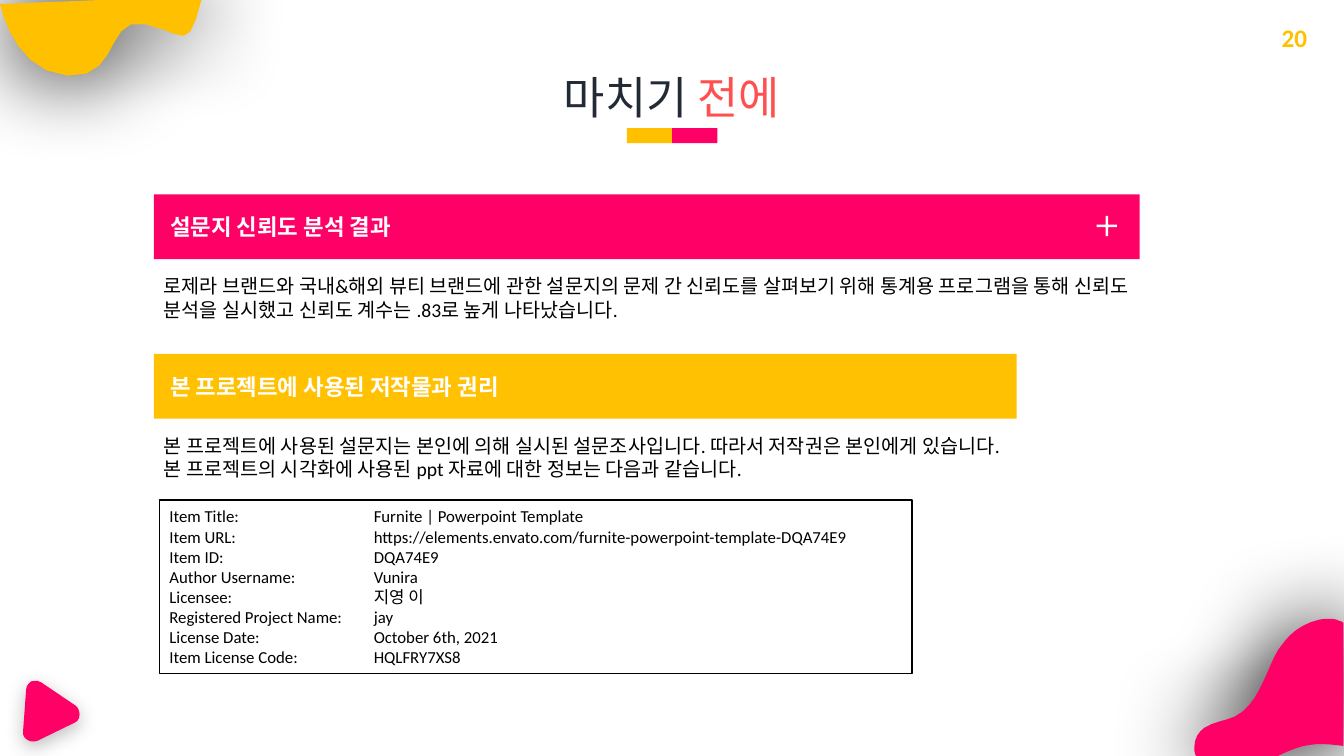
import math

import pptx
import pptx.util
import pptx.dml.color
import pptx.enum.shapes
import pptx.enum.text
import pptx.oxml.ns
from lxml import etree
from pptx.util import Cm

COLORS = {"pink": "FF0066", "amber": "FFC102", "gold": "FFC000", "coral": "FF5050",
          "navy": "222A35", "black": "000000", "white": "FFFFFF"}
FONT = "Calibri"
SHAPES = pptx.enum.shapes.MSO_SHAPE
ALIGN = pptx.enum.text.PP_ALIGN
ANCHOR = pptx.enum.text.MSO_ANCHOR
qn = pptx.oxml.ns.qn

LEFT, SECTION_TOP, SECTION_STEP = 3.88, 4.9, 4.02
SECTIONS = [
    ("설문지 신뢰도 분석 결과", "pink", 24.84,
     "로제라 브랜드와 국내&해외 뷰티 브랜드에 관한 설문지의 문제 간 신뢰도를 살펴보기 위해 "
     "통계용 프로그램을 통해 신뢰도 분석을 실시했고 신뢰도 계수는 .83로 높게 나타났습니다."),
    ("본 프로젝트에 사용된 저작물과 권리", "amber", 21.74,
     "본 프로젝트에 사용된 설문지는 본인에 의해 실시된 설문조사입니다. 따라서 저작권은 "
     "본인에게 있습니다. 본 프로젝트의 시각화에 사용된 ppt 자료에 대한 정보는 다음과 같습니다."),
]
LICENSE = [
    ("Item Title:", "Furnite | Powerpoint Template"),
    ("Item URL:", "https://elements.envato.com/furnite-powerpoint-template-DQA74E9"),
    ("Item ID:", "DQA74E9"),
    ("Author Username:", "Vunira"),
    ("Licensee:", "지영 이"),
    ("Registered Project Name:", "jay"),
    ("License Date:", "October 6th, 2021"),
    ("Item License Code:", "HQLFRY7XS8"),
]

# Outlines in hundredths of an inch: a start point, then curves (two handles and an end) or lines
TOP_BLOB = [(0, 4), (0, 4, 13, 71, 67, 75), (120, 79, 104, 15, 144, 24),
            (185, 33, 186, 55, 201, -4)]
CORNER_BLOB = [(1319, 614), (1322, 614, 1325, 614, 1329, 616), (1330, 616, 1332, 617, 1333, 618),
               (1333, 740), (1322, 739, 1311, 737, 1300, 739), (1290, 740, 1281, 744, 1272, 748),
               (1268, 750), (1187, 750), (1186, 749), (1185, 747, 1185, 744, 1185, 741),
               (1185, 733, 1189, 726, 1195, 722), (1204, 716, 1216, 715, 1225, 711),
               (1239, 704, 1247, 690, 1253, 677), (1260, 663, 1264, 648, 1274, 637),
               (1282, 626, 1295, 618, 1308, 615), (1312, 614, 1315, 614, 1319, 614)]
TRIANGLE = [(75, 700), (41, 677), (38, 675, 34, 675, 31, 676), (28, 678, 26, 681, 26, 684),
            (23, 725), (22, 729, 24, 732, 27, 734), (30, 736, 34, 736, 37, 735),
            (74, 717), (77, 716, 79, 713, 79, 709), (79, 706, 78, 702, 75, 700)]


def rgb(name):
    return pptx.dml.color.RGBColor.from_string(COLORS[name])


def add_run(p, text, size, color, bold=False):
    r = p.add_run()
    r.text = text
    r.font.name = FONT
    r.font.size = pptx.util.Pt(size)
    r.font.bold = bold
    r.font.color.rgb = rgb(color)


def paint(sp, color):
    sp.shadow.inherit = False
    sp.fill.solid()
    sp.fill.fore_color.rgb = rgb(color)
    sp.line.fill.background()


def add_block(s, kind, box, color):
    sp = s.shapes.add_shape(kind, *[Cm(v) for v in box])
    paint(sp, color)
    return sp


def add_text(s, box, text, size, color, align=ALIGN.LEFT, bold=False):
    tf = s.shapes.add_textbox(*[Cm(v) for v in box]).text_frame
    tf.word_wrap = True
    p = tf.paragraphs[0]
    p.alignment = align
    add_run(p, text, size, color, bold)


def add_banner(s, box, color, text):
    tf = add_block(s, SHAPES.RECTANGLE, box, color).text_frame
    tf.margin_left = Cm(0.41)
    tf.vertical_anchor = ANCHOR.MIDDLE
    p = tf.paragraphs[0]
    p.alignment = ALIGN.LEFT
    add_run(p, text, 16, "white", True)


def trace(outline):
    """Return the outline's points in EMU; longer curves get more points."""
    points = [outline[0]]
    for seg in outline[1:]:
        start, end = points[-1], seg[-2:]
        if len(seg) == 2:
            points.append(end)
            continue
        steps = math.ceil(0.7 * math.sqrt(math.dist(start, end)))
        for i in range(1, steps + 1):
            t = i / steps
            u = 1 - t
            points.append(tuple(u**3 * a + 3 * u * u * t * b + 3 * u * t * t * c + t**3 * d
                                for a, b, c, d in zip(start, seg[:2], seg[2:4], end)))
    return [(Cm(x * 0.0254), Cm(y * 0.0254)) for x, y in points]


def add_blob(s, outline, color, alpha, blur, dist=0, angle=0):
    points = trace(outline)
    builder = s.shapes.build_freeform(*points[0])
    builder.add_line_segments(points[1:], close=True)
    sp = builder.convert_to_shape()
    paint(sp, color)
    effects = sp._element.spPr.find(qn("a:effectLst"))
    shadow = etree.SubElement(effects, qn("a:outerShdw"), blurRad=str(pptx.util.Pt(blur)),
                              dist=str(pptx.util.Pt(dist)), dir=str(angle * 60000),
                              algn="ctr", rotWithShape="0")
    clr = etree.SubElement(shadow, qn("a:srgbClr"), val=COLORS["black"])
    etree.SubElement(clr, qn("a:alpha"), val=str(alpha * 1000))


def fill_title(sp):
    sp.left, sp.top, sp.width, sp.height = Cm(8.26), Cm(1.63), Cm(17.35), Cm(1.63)
    tf = sp.text_frame
    tf.auto_size = pptx.enum.text.MSO_AUTO_SIZE.NONE
    tf.vertical_anchor = ANCHOR.MIDDLE
    p = tf.paragraphs[0]
    p.alignment = ALIGN.CENTER
    add_run(p, "마치기 ", 32, "navy")
    add_run(p, "전에", 32, "coral")


def add_license(s, box, value_tab):
    sp = add_block(s, SHAPES.RECTANGLE, box, "white")
    sp.line.color.rgb = rgb("black")
    sp.line.width = pptx.util.Pt(1)
    tf = sp.text_frame
    tf.vertical_anchor = ANCHOR.MIDDLE
    for i, (label, value) in enumerate(LICENSE):
        p = tf.add_paragraph() if i else tf.paragraphs[0]
        p.alignment = ALIGN.LEFT
        tabs = etree.SubElement(p._p.get_or_add_pPr(), qn("a:tabLst"))
        etree.SubElement(tabs, qn("a:tab"), pos=str(Cm(value_tab)), algn="l")
        add_run(p, f"{label}\t{value}", 12, "black")


def main():
    prs = pptx.Presentation()
    prs.slide_width, prs.slide_height = Cm(33.87), Cm(19.05)
    s = prs.slides.add_slide(prs.slide_layouts[5])

    # Sections: banner and explanation
    for i, (heading, color, width, text) in enumerate(SECTIONS):
        top = SECTION_TOP + i * SECTION_STEP
        add_banner(s, (LEFT, top, width, 1.63), color, heading)
        add_text(s, (LEFT, top + 1.88, width, 1.45), text, 14, "black")
    plus = add_block(s, SHAPES.CROSS, (27.64, 5.44, 0.51, 0.51), "white")
    plus.adjustments[0] = 0.437

    # Corner decorations
    add_blob(s, TOP_BLOB, "gold", 100, 67)
    add_blob(s, CORNER_BLOB, "pink", 100, 67)
    add_blob(s, TRIANGLE, "pink", 25, 14, 4, 90)

    # Title, its two-colour bar and the page number
    fill_title(s.shapes.title)
    for i, color in enumerate(("gold", "pink")):
        add_block(s, SHAPES.RECTANGLE, (15.8 + i * 1.14, 3.23, 1.14, 0.38), color)
    add_text(s, (28.77, 0.45, 4.42, 1.02), "20", 18, "gold", ALIGN.RIGHT, True)

    # Licence details
    add_license(s, (4.02, 12.6, 18.97, 4.37), 5.15)

    prs.save("out.pptx")


if __name__ == "__main__":
    main()
